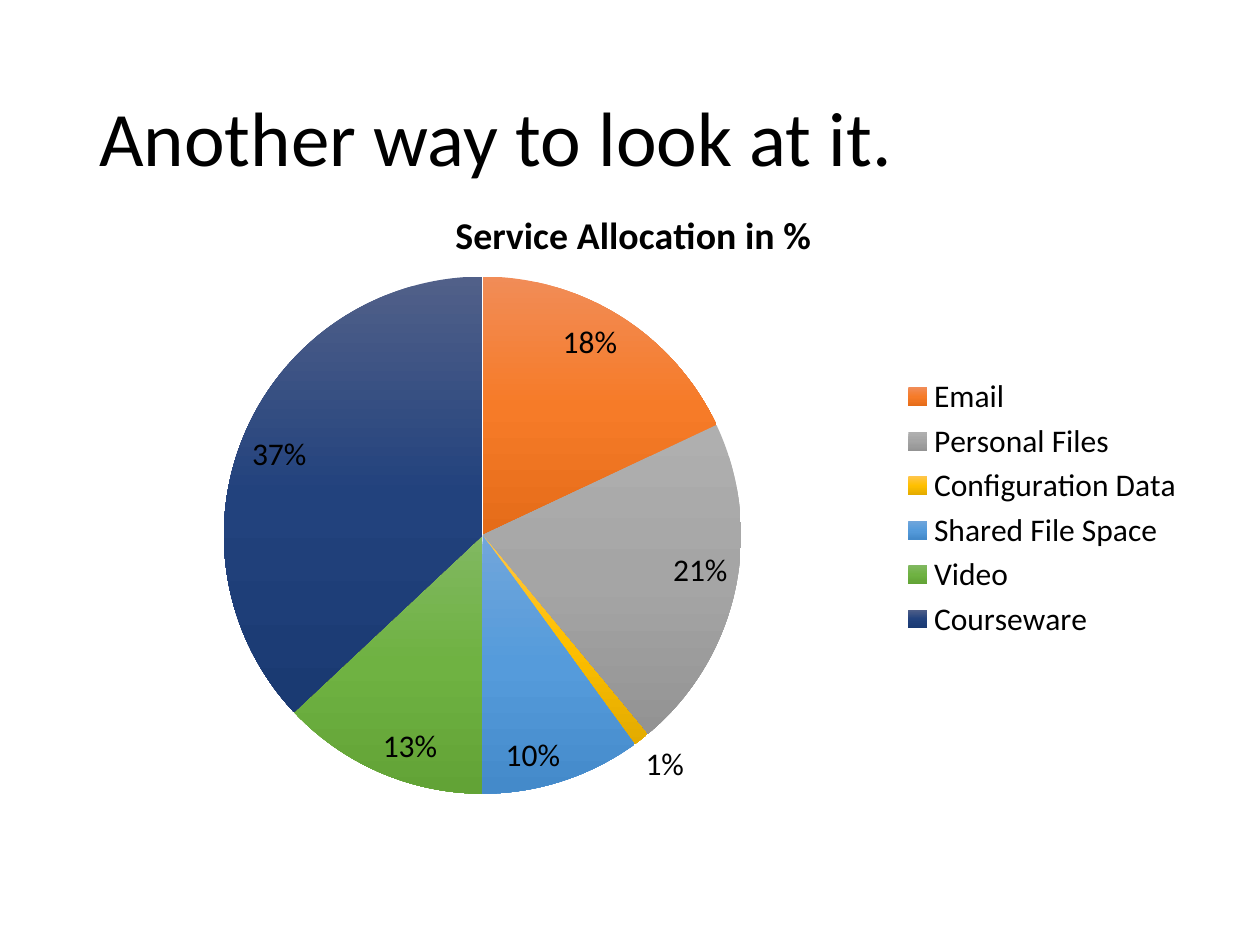
from copy import deepcopy

from pptx import Presentation
from pptx.chart.data import CategoryChartData
from pptx.dml.color import RGBColor
from pptx.enum.chart import XL_CHART_TYPE as ChartType
from pptx.enum.chart import XL_LABEL_POSITION as LabelPosition
from pptx.enum.chart import XL_LEGEND_POSITION as LegendPosition
from pptx.enum.text import MSO_ANCHOR as Anchor
from pptx.enum.text import PP_ALIGN as Align
from pptx.oxml import parse_xml
from pptx.oxml.ns import nsdecls, qn
from pptx.util import Cm, Pt

FONT = "Calibri"
BLACK = RGBColor(0x00, 0x00, 0x00)
BLUE = [RGBColor(0x61, 0x83, 0xCB), RGBColor(0x3E, 0x70, 0xCA), RGBColor(0x30, 0x62, 0xBB)]
ORANGE = [RGBColor(0xF1, 0x8C, 0x57), RGBColor(0xF6, 0x7B, 0x28), RGBColor(0xE5, 0x6C, 0x19)]
GRAY = [RGBColor(0xAF, 0xAF, 0xAF), RGBColor(0xA5, 0xA5, 0xA5), RGBColor(0x93, 0x93, 0x93)]
GOLD = [RGBColor(0xFF, 0xC6, 0x4B), RGBColor(0xFF, 0xC0, 0x00), RGBColor(0xE3, 0xAB, 0x00)]
SKY = [RGBColor(0x71, 0xA6, 0xDB), RGBColor(0x55, 0x9B, 0xDB), RGBColor(0x44, 0x8A, 0xCA)]
GREEN = [RGBColor(0x81, 0xB8, 0x61), RGBColor(0x6F, 0xB2, 0x42), RGBColor(0x62, 0xA3, 0x36)]
NAVY = [RGBColor(0x51, 0x60, 0x89), RGBColor(0x22, 0x42, 0x7D), RGBColor(0x1A, 0x3A, 0x72)]

# Category, share, gradient from top to bottom
SERVICES = [
    ("Service", 0, BLUE),
    ("Email", 0.18, ORANGE),
    ("Personal Files", 0.21, GRAY),
    ("Configuration Data", 0.01, GOLD),
    ("Shared File Space", 0.10, SKY),
    ("Video", 0.13, GREEN),
    ("Courseware", 0.37, NAVY),
]
SMALL_SHARE = 0.05


def format_font(font, size, bold=False):
    values = {"name": FONT, "size": Pt(size), "bold": bold}
    for name, value in values.items():
        setattr(font, name, value)
    font.color.rgb = BLACK


def set_layout(element, index, **fractions):
    """Place a chart part by fractions of the chart's width and height."""
    for old_layout in element.findall(qn("c:layout")):
        element.remove(old_layout)
    target = '<c:layoutTarget val="inner"/>' if "w" in fractions else ""
    modes = '<c:xMode val="edge"/><c:yMode val="edge"/>'
    sizes = "".join(f'<c:{key} val="{value}"/>' for key, value in fractions.items())
    element.insert(index, parse_xml(
        f'<c:layout {nsdecls("c")}><c:manualLayout>{target}{modes}{sizes}'
        "</c:manualLayout></c:layout>"))


def fill_slice(series, point, colors):
    fill = point.format.fill
    fill.gradient()
    fill.gradient_angle = 270
    stop_list = series._element.xpath(".//a:gsLst")[-1]
    stop_list.insert(1, deepcopy(stop_list[0]))
    for stop, position, color in zip(fill.gradient_stops, (0, 0.5, 1), colors):
        stop.position = position
        stop.color.rgb = color
    point.format.line.fill.background()


def add_title(slide, left, top, width, height):
    title = slide.shapes.title
    box = {"left": left, "top": top, "width": width, "height": height}
    for name, value in box.items():
        setattr(title, name, value)
    frame = title.text_frame
    frame.text = "Another way to look at it."
    frame.vertical_anchor = Anchor.MIDDLE
    paragraph = frame.paragraphs[0]
    paragraph.alignment = Align.LEFT
    paragraph.line_spacing = 0.9
    format_font(paragraph.runs[0].font, 44)


def add_heading(chart):
    chart.has_title = True
    frame = chart.chart_title.text_frame
    frame.text = "Service Allocation in %"
    format_font(frame.paragraphs[0].runs[0].font, 21.6, bold=True)
    set_layout(chart.chart_title._element, 1, x=0.34, y=0.05)


def add_legend(chart):
    """Add a legend that leaves out the empty first category."""
    chart.has_legend = True
    legend = chart.legend
    legend.position = LegendPosition.RIGHT
    legend.include_in_layout = False
    format_font(legend.font, 18)
    hidden_entry = parse_xml(
        f'<c:legendEntry {nsdecls("c")}><c:idx val="0"/><c:delete val="1"/></c:legendEntry>')
    legend._element.find(qn("c:legendPos")).addnext(hidden_entry)


def add_service_pie(slide, left, top, width, height):
    data = CategoryChartData(number_format="0%")
    data.categories = [name for name, _, _ in SERVICES]
    data.add_series("Series 1", [share for _, share, _ in SERVICES])
    chart = slide.shapes.add_chart(ChartType.PIE, left, top, width, height, data).chart
    format_font(chart.font, 18)
    add_heading(chart)
    add_legend(chart)

    plot = chart.plots[0]
    plot.vary_by_categories = True
    set_layout(plot._element.getparent(), 0, x=0.14, y=0.16, w=0.46, h=0.76)
    series = plot.series[0]
    series.data_labels.show_value = False
    for index, (_, share, colors) in enumerate(SERVICES):
        point = series.points[index]
        fill_slice(series, point, colors)
        if share:
            is_small = share < SMALL_SHARE
            point.data_label.position = (
                LabelPosition.OUTSIDE_END if is_small else LabelPosition.INSIDE_END)
            format_font(point.data_label.font, 18)


def main():
    presentation = Presentation()
    presentation.slide_width = Cm(25.4)
    presentation.slide_height = Cm(19.05)
    slide = presentation.slides.add_slide(presentation.slide_layouts[5])
    add_title(slide, Cm(1.75), Cm(1.02), Cm(21.9), Cm(3.68))
    add_service_pie(slide, Cm(1.27), Cm(3.38), Cm(22.86), Cm(13.72))
    presentation.save("out.pptx")


if __name__ == "__main__":
    main()
